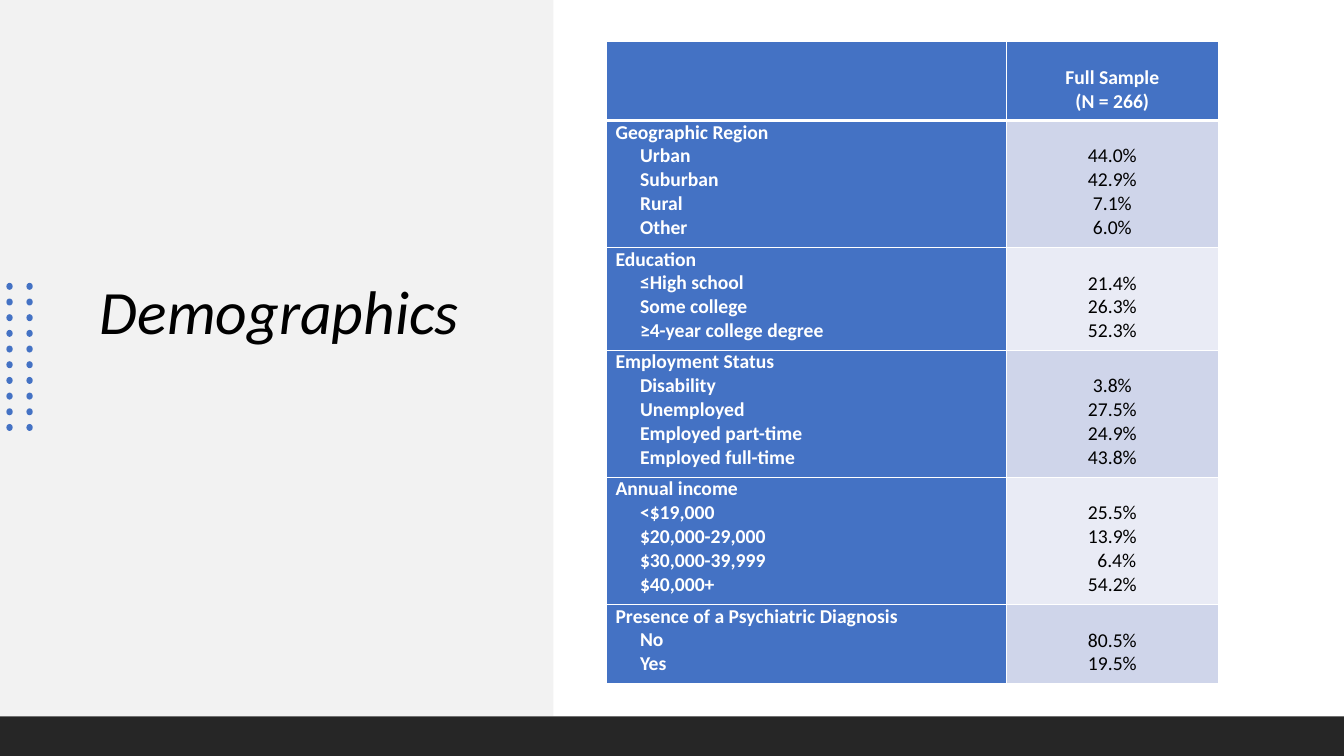
import pptx
import pptx.util
import pptx.dml.color
import pptx.enum.shapes
import pptx.enum.text
import pptx.oxml

Pt = pptx.util.Pt
ALIGN = pptx.enum.text.PP_ALIGN
SHAPE = pptx.enum.shapes.MSO_SHAPE
DRAWING_NS = "http://schemas.openxmlformats.org/drawingml/2006/main"
BLUE, WHITE, BLACK = "4472C4", "FFFFFF", "000000"
LINE_HEIGHT = 17.1


def paint(target, color):
    rgb = pptx.dml.color.RGBColor.from_string(color)
    if hasattr(target, "solid"):
        target.solid()
        target.fore_color.rgb = rgb
    else:
        target.rgb = rgb


def write_cell(cell, lines, color, bold, align, top_margin):
    cell.margin_left = cell.margin_right = Pt(6.5)
    cell.margin_top, cell.margin_bottom = Pt(top_margin), Pt(0)
    for index, (text, indent) in enumerate(lines):
        frame = cell.text_frame
        paragraph = frame.add_paragraph() if index else frame.paragraphs[0]
        paragraph.alignment = align
        paragraph._p.get_or_add_pPr().set("marL", str(Pt(indent)))
        run = paragraph.add_run()
        run.text = text
        run.font.name, run.font.size, run.font.bold = "Calibri", Pt(14), bold
        paint(run.font.color, color)


deck = pptx.Presentation()
deck.slide_width, deck.slide_height = Pt(960), Pt(540)
slide = deck.slides.add_slide(deck.slide_layouts[5])
paint(slide.background.fill, WHITE)

heading = slide.shapes.title
heading.left, heading.top, heading.width, heading.height = Pt(46.8), Pt(95), Pt(305.3), Pt(320.4)
heading_frame = heading.text_frame
heading_frame.word_wrap = True
heading_frame.auto_size = pptx.enum.text.MSO_AUTO_SIZE.NONE
heading_frame.vertical_anchor = pptx.enum.text.MSO_ANCHOR.MIDDLE
heading_frame.margin_bottom = Pt(64.6)
heading_line = heading_frame.paragraphs[0]
heading_line.alignment = ALIGN.LEFT
heading_line.line_spacing = 0.9
heading_line._p.get_or_add_pPr().set("indent", str(Pt(17.3)))
heading_run = heading_line.add_run()
heading_run.text = "Demographics"
heading_run.font.name, heading_run.font.size = "Calibri", Pt(44)
heading_run.font.italic = True
paint(heading_run.font.color, BLACK)

side_panel = slide.shapes.add_shape(SHAPE.RECTANGLE, Pt(0), Pt(0), Pt(395.3), Pt(511.4))
heading._element.addprevious(side_panel._element)
footer_band = slide.shapes.add_shape(SHAPE.RECTANGLE, Pt(0), Pt(511.7), Pt(960), Pt(28.3))
for band, color in ((side_panel, "F2F2F2"), (footer_band, "262626")):
    paint(band.fill, color)
    band.line.fill.background()
    band.shadow.inherit = False

dots = slide.shapes.add_group_shape()
for row in range(10):
    for left in (4.3, 18.6):
        dot = dots.shapes.add_shape(
            SHAPE.OVAL, Pt(left), Pt(202.3 + 11.2 * row), Pt(5), Pt(4.5))
        dot.rotation = 90
        paint(dot.fill, BLUE)
        dot.line.fill.background()
        dot.shadow.inherit = False

sections = [
    ("Geographic Region", 90.8,
     [("Urban", "44.0%"), ("Suburban", "42.9%"), ("Rural", "7.1%"), ("Other", "6.0%")]),
    ("Education", 73.4,
     [("≤High school", "21.4%"), ("Some college", "26.3%"),
      ("≥4-year college degree", "52.3%")]),
    ("Employment Status", 90.8,
     [("Disability", "3.8%"), ("Unemployed", "27.5%"),
      ("Employed part-time", "24.9%"), ("Employed full-time", "43.8%")]),
    ("Annual income", 90.8,
     [("<$19,000", "25.5%"), ("$20,000-29,000", "13.9%"),
      ("$30,000-39,999", "6.4%"), ("$40,000+", "54.2%")]),
    ("Presence of a Psychiatric Diagnosis", 56.2, [("No", "80.5%"), ("Yes", "19.5%")]),
]

sample = slide.shapes.add_table(
    len(sections) + 1, 2, Pt(433.2), Pt(29.8), Pt(437), Pt(458.2)).table
sample.columns[0].width, sample.columns[1].width = Pt(285.8), Pt(151.2)
sample.rows[0].height = Pt(56.2)
write_cell(sample.cell(0, 1), [("Full Sample", 0), ("(N = 266)", 0)],
           WHITE, True, ALIGN.CENTER, LINE_HEIGHT)
for row, (section, height, answers) in enumerate(sections, 1):
    sample.rows[row].height = Pt(height)
    labels = [(section, 0)] + [(label, 17.5) for label, share in answers]
    shares = [(share, 6.3 if share == "6.4%" else 0) for label, share in answers]
    write_cell(sample.cell(row, 0), labels, WHITE, True, ALIGN.LEFT, 0)
    write_cell(sample.cell(row, 1), shares, BLACK, False, ALIGN.CENTER, LINE_HEIGHT)

for row in range(len(sections) + 1):
    for column in range(2):
        cell = sample.cell(row, column)
        share_fill = "CFD5EA" if row % 2 else "E9EBF5"
        paint(cell.fill, share_fill if row and column else BLUE)
        widths = {"lnL": 1, "lnR": 1, "lnT": 3 if row == 1 else 1, "lnB": 1 if row else 3}
        for position, (side, width) in enumerate(widths.items()):
            border = pptx.oxml.parse_xml(
                f'<a:{side} xmlns:a="{DRAWING_NS}" w="{Pt(width)}">'
                f'<a:solidFill><a:srgbClr val="{WHITE}"/></a:solidFill></a:{side}>')
            cell._tc.get_or_add_tcPr().insert(position, border)

deck.save("out.pptx")
